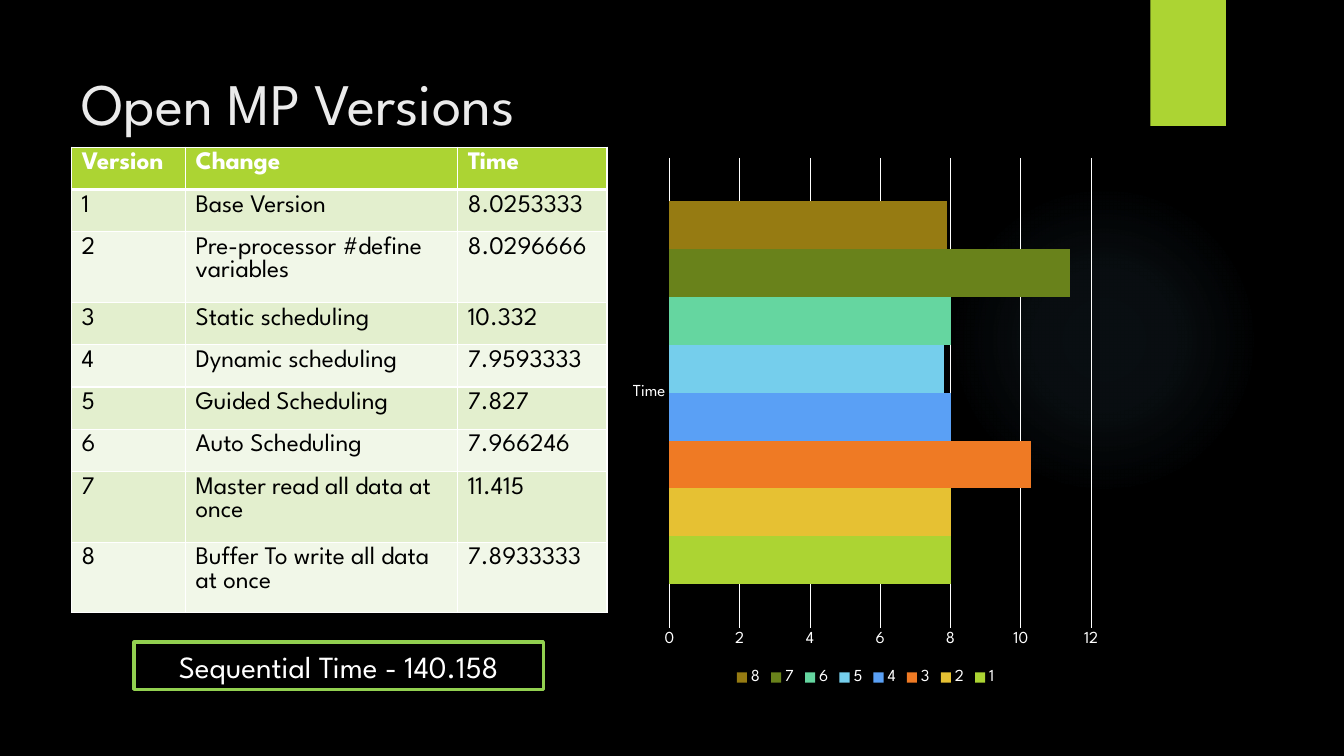
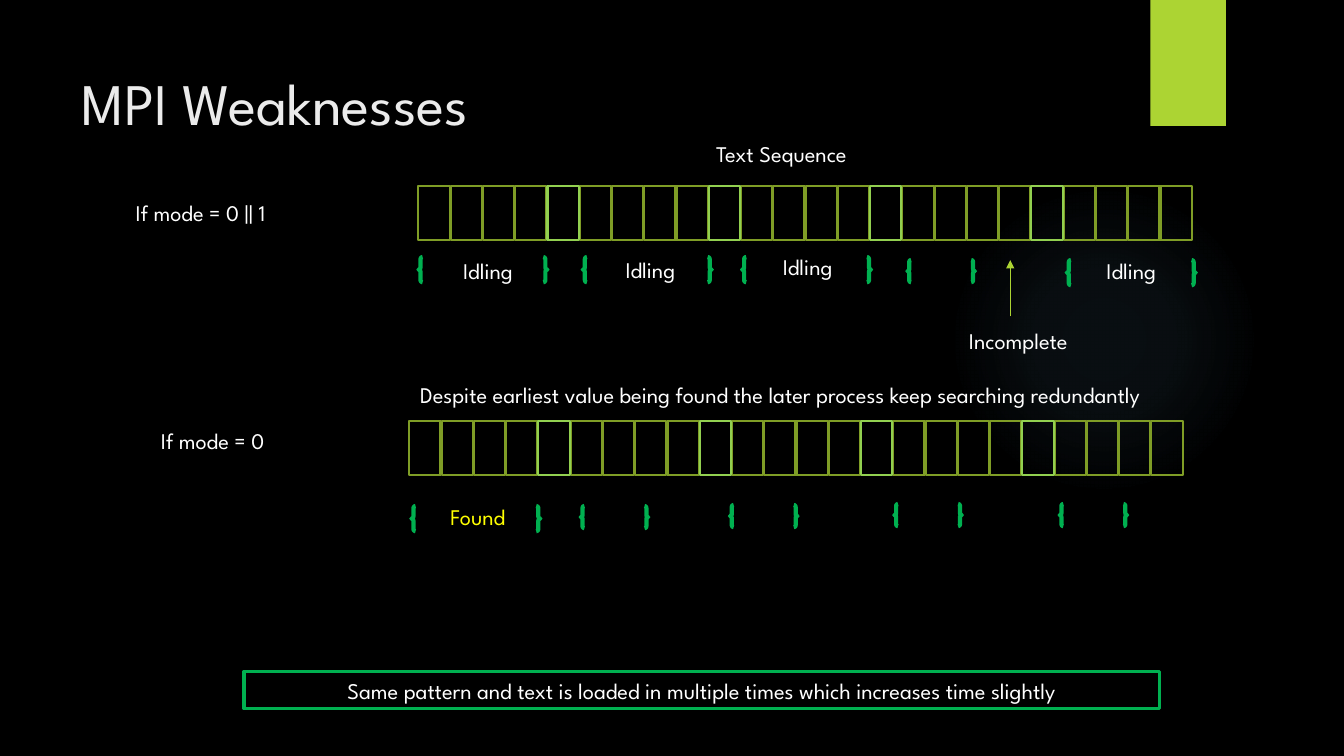
from lxml import etree
from pptx import Presentation
from pptx import util as u
from pptx.chart.data import CategoryChartData
from pptx.dml.color import RGBColor
from pptx.enum import chart as ch
from pptx.enum import shapes, text
from pptx.oxml import parse_xml
from pptx.oxml.ns import nsdecls, qn

PX = 9144
FONT = "League Spartan"
C = {
    "back": "000000", "white": "FFFFFF", "title": "EBEBEB", "lime": "ACD433",
    "glow": "7AC4F0", "olive": "7F9D26", "leaf": "92D050", "green": "00B050",
    "yellow": "FFFF00", "odd": "E3EFCE", "even": "F1F7E8",
}
SERIES = ["ACD433", "E6C133", "EF7A24", "5AA0F5", "75CEEC", "65D6A0", "69821B", "967B12"]
RECT = shapes.MSO_SHAPE.RECTANGLE
BRACES = shapes.MSO_SHAPE.DOUBLE_BRACE
MIDDLE, BOTTOM = text.MSO_ANCHOR.MIDDLE, text.MSO_ANCHOR.BOTTOM
CENTER, LEFT = text.PP_ALIGN.CENTER, text.PP_ALIGN.LEFT


def add_box(s, at, kind=None, line=None, pt=1.5):
    at = [v * PX for v in at]
    if kind is None:
        return s.shapes.add_textbox(*at)
    sp = s.shapes.add_shape(kind, *at)
    sp.shadow.inherit = False
    sp.fill.background()
    if line:
        sp.line.color.rgb = RGBColor.from_string(C[line])
        sp.line.width = u.Pt(pt)
    else:
        sp.line.fill.background()
    return sp


def write(tf, words, size=16, color="white", align=CENTER, anchor=BOTTOM, bold=False):
    tf.word_wrap = True
    tf.vertical_anchor = anchor
    p = tf.paragraphs[0]
    p.alignment = align
    r = p.add_run()
    r.text = words
    r.font.name = FONT
    r.font.size = u.Pt(size)
    r.font.bold = bold
    r.font.color.rgb = RGBColor.from_string(C[color])


prs = Presentation()
prs.slide_width, prs.slide_height = 1333 * PX, 750 * PX
back = prs.slide_master.background.fill
back.solid()
back.fore_color.rgb = RGBColor.from_string(C["back"])

for title in ["Open MP Versions", "MPI Weaknesses"]:
    s = prs.slides.add_slide(prs.slide_layouts[6])
    glow = add_box(s, (941, 183, 308, 308), shapes.MSO_SHAPE.OVAL)
    stops = "".join(
        f'<a:gs pos="{pos}000"><a:srgbClr val="{C["glow"]}"><a:alpha val="{alpha}000"/></a:srgbClr></a:gs>'
        for pos, alpha in [(0, 7), (36, 6), (69, 0)])
    spPr = glow.element.spPr
    spPr.replace(spPr.find(qn("a:noFill")), parse_xml(
        f'<a:gradFill {nsdecls("a")}><a:gsLst>{stops}</a:gsLst><a:path path="circle">'
        '<a:fillToRect l="50000" t="50000" r="50000" b="50000"/></a:path></a:gradFill>'))
    band = add_box(s, (1141, 0, 75, 125), RECT)
    band.fill.solid()
    band.fill.fore_color.rgb = RGBColor.from_string(C["lime"])
    write(add_box(s, (71, 50, 1029, 103)).text_frame, title, 42, "title", LEFT, MIDDLE)

versions, weaknesses = prs.slides

rows = [
    ("Version", "Change", "Time"),
    ("1", "Base Version", "8.0253333"),
    ("2", "Pre-processor #define variables", "8.0296666"),
    ("3", "Static scheduling", "10.332"),
    ("4", "Dynamic scheduling", "7.9593333"),
    ("5", "Guided Scheduling", "7.827"),
    ("6", "Auto Scheduling", "7.966246"),
    ("7", "Master read all data at once", "11.415"),
    ("8", "Buffer To write all data at once", "7.8933333"),
]
table = versions.shapes.add_table(len(rows), 3, 71 * PX, 146 * PX, 531 * PX, 378 * PX).table
for col, width in zip(table.columns, (113, 270, 148)):
    col.width = width * PX
for i, row in enumerate(rows):
    table.rows[i].height = 42 * PX
    for j, words in enumerate(row):
        cell = table.cell(i, j)
        write(cell.text_frame, words, 18, "back" if i else "white", LEFT, None, i == 0)
        tcPr = cell._tc.get_or_add_tcPr()
        for side in "LRTB":
            thick = (side == "B" and i == 0) or (side == "T" and i == 1)
            ln = etree.SubElement(tcPr, qn(f"a:ln{side}"), w=str(u.Pt(3 if thick else 1)))
            fill = etree.SubElement(ln, qn("a:solidFill"))
            etree.SubElement(fill, qn("a:srgbClr"), val=C["white"])
        cell.fill.solid()
        shade = "lime" if i == 0 else "odd" if i % 2 else "even"
        cell.fill.fore_color.rgb = RGBColor.from_string(C[shade])

sequential = add_box(versions, (133, 637, 406, 47), RECT, "leaf", 2.25)
write(sequential.text_frame, "Sequential Time - 140.158", 22)

data = CategoryChartData()
data.categories = ["Time"]
for i, value in enumerate([8, 8, 10.3, 8, 7.8, 8, 11.4, 7.9], 1):
    data.add_series(str(i), [value])
chart = versions.shapes.add_chart(
    ch.XL_CHART_TYPE.BAR_CLUSTERED, 618 * PX, 146 * PX, 481 * PX, 538 * PX, data).chart
white = RGBColor.from_string(C["white"])
chart.has_title = False
chart.has_legend = True
chart.legend.position = ch.XL_LEGEND_POSITION.BOTTOM
chart.legend.include_in_layout = False
cats, vals = chart.category_axis, chart.value_axis
for font in (chart.font, chart.legend.font, cats.tick_labels.font, vals.tick_labels.font):
    font.name = FONT
    font.size = u.Pt(12)
    font.color.rgb = white
for axis in (cats, vals):
    axis.major_tick_mark = axis.minor_tick_mark = ch.XL_TICK_MARK.NONE
vals.minimum_scale, vals.maximum_scale, vals.major_unit = 0, 12, 2
vals.has_major_gridlines = True
vals.format.line.fill.background()
for line in (cats.format.line, vals.major_gridlines.format.line):
    line.color.rgb = white
    line.width = u.Pt(0.75)
plot = chart.plots[0]
plot.gap_width = 182
plot.overlap = 0
plot.vary_by_categories = False
for series, color in zip(plot.series, SERIES):
    series.format.fill.solid()
    series.format.fill.fore_color.rgb = RGBColor.from_string(color)

s = weaknesses
shared = (4, 9, 14, 19)
own = [i for i in range(24) if i not in shared]
for left, top in [(415, 185), (406, 418)]:
    for i in [*own, *shared]:
        add_box(s, (left + 32 * i, top, 31, 53), RECT, "leaf" if i in shared else "olive")

for left, top, width, height in [
    (415, 255, 128, 25), (578, 255, 128, 25), (736, 255, 128, 25),
    (900, 258, 67, 22), (1058, 258, 128, 25),
    (408, 502, 128, 25), (576, 502, 67, 22), (724, 501, 67, 22),
    (887, 500, 67, 22), (1051, 500, 67, 22),
]:
    add_box(s, (left, top, width, height), BRACES, "green", 3)

for words, left, top, width, color in [
    ("Text Sequence", 635, 134, 280, "white"),
    ("If mode = 0 || 1", 59, 192, 280, "white"),
    ("Idling", 433, 250, 102, "white"),
    ("Idling", 594, 249, 102, "white"),
    ("Idling", 750, 246, 102, "white"),
    ("Idling", 1071, 250, 102, "white"),
    ("Incomplete", 870, 319, 280, "white"),
    ("Despite earliest value being found the later process keep searching redundantly",
     320, 373, 908, "white"),
    ("If mode = 0", 71, 418, 280, "white"),
    ("Found", 423, 494, 102, "yellow"),
]:
    write(add_box(s, (left, top, width, 37)).text_frame, words, color=color)

arrow = s.shapes.add_connector(
    shapes.MSO_CONNECTOR.STRAIGHT, 1002 * PX, 314 * PX, 1002 * PX, 258 * PX)
arrow.line.color.rgb = RGBColor.from_string(C["lime"])
arrow.line.width = u.Pt(0.75)
etree.SubElement(arrow.line._get_or_add_ln(), qn("a:tailEnd"), type="triangle")
etree.SubElement(arrow._element.spPr, qn("a:effectLst"))

note = add_box(s, (242, 666, 908, 37), RECT, "green", 2.25)
write(note.text_frame, "Same pattern and text is loaded in multiple times which increases time slightly")

prs.save("out.pptx")
